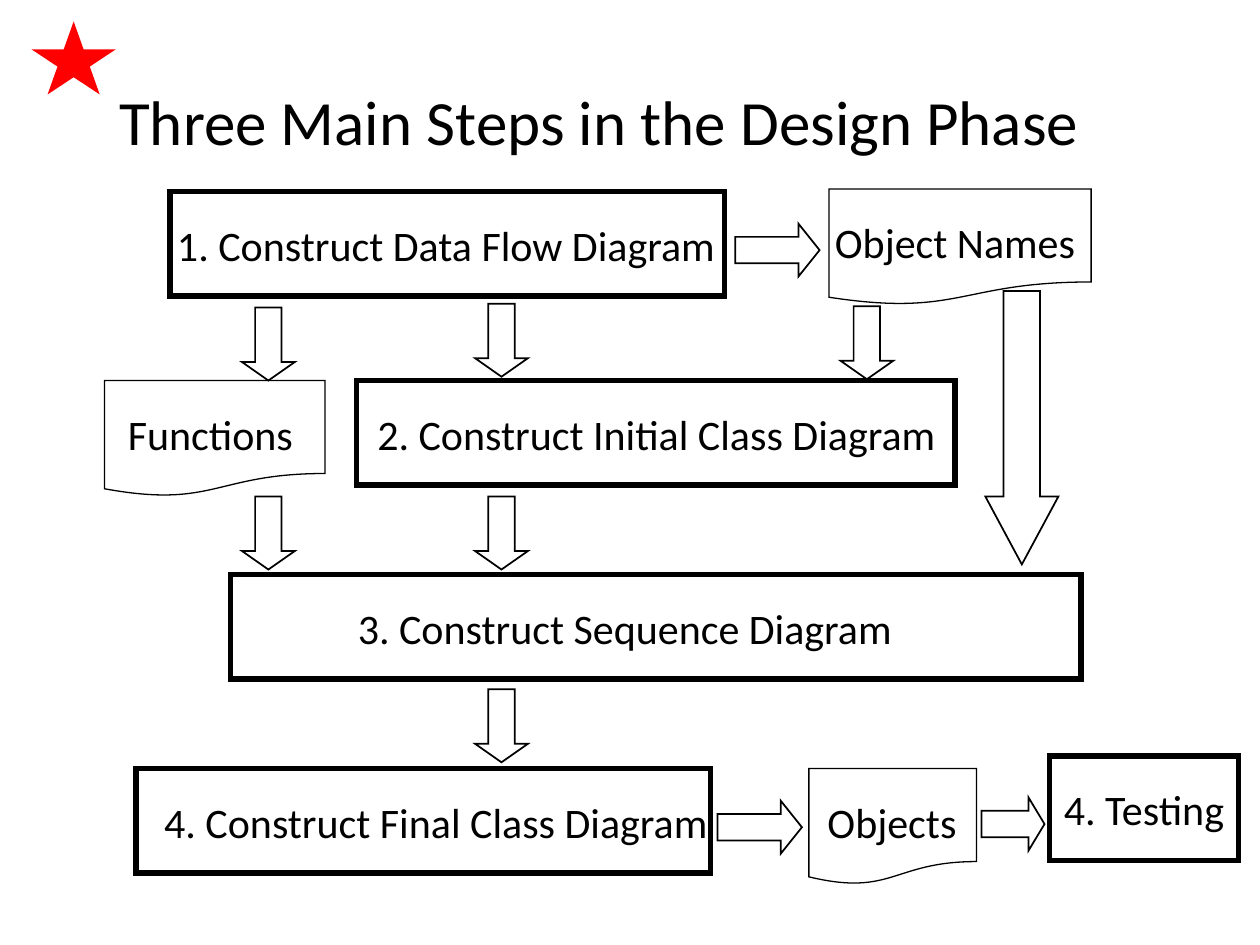
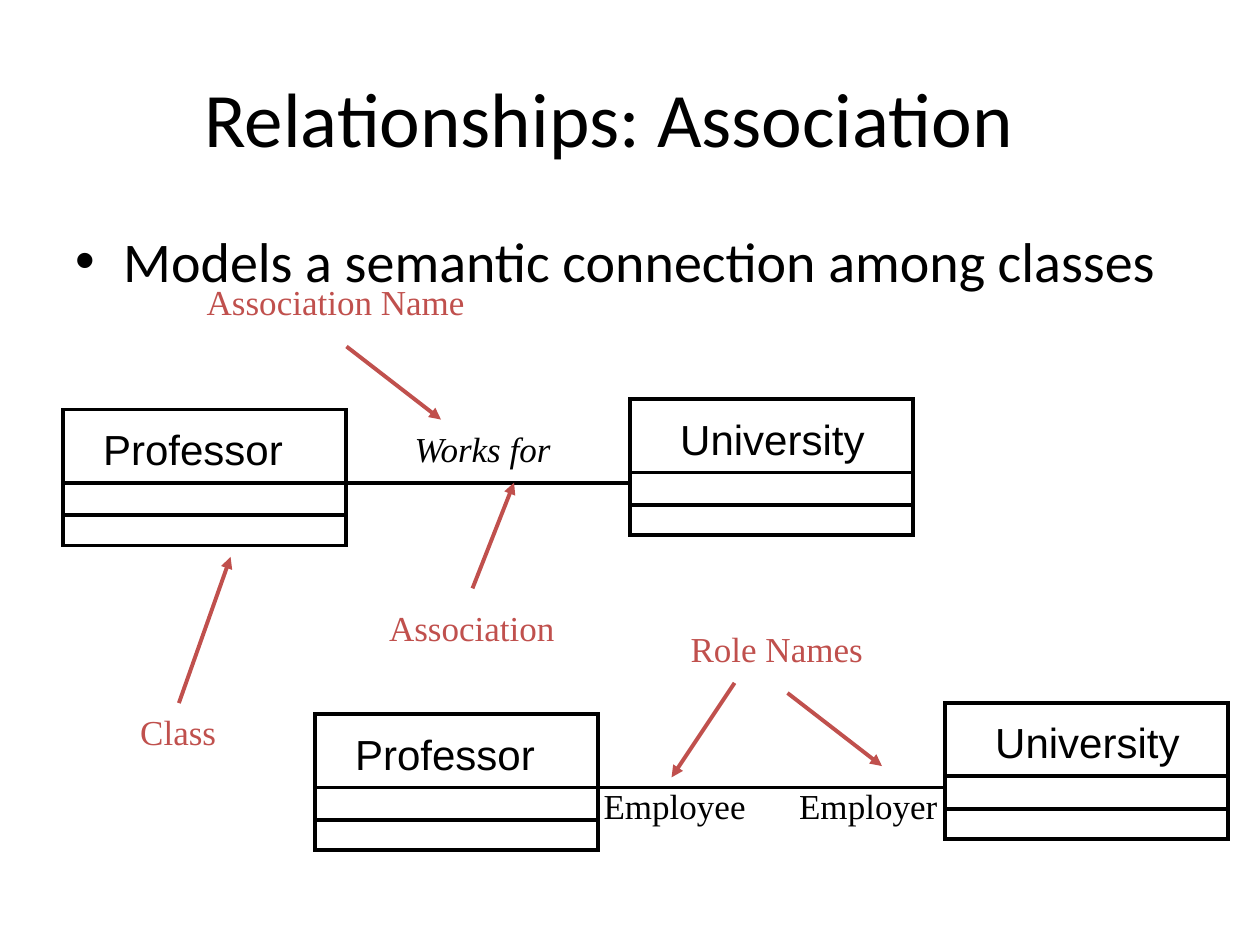
"""Builds two slides on design steps and class association."""
from pptx import Presentation
from pptx.dml.color import RGBColor
from pptx.enum.shapes import MSO_CONNECTOR, MSO_SHAPE, MSO_SHAPE_TYPE
from pptx.enum.text import MSO_ANCHOR, PP_ALIGN
from pptx.oxml.ns import qn
from pptx.util import Inches, Pt
from lxml.etree import SubElement


class Theme:
    black = RGBColor(0, 0, 0)
    red = RGBColor(0xFF, 0, 0)
    brick = RGBColor(0xC0, 0x50, 0x4D)
    sans, plain, serif = "Calibri", "Arial", "Times New Roman"
    head, title, body, step, note = 44, 36, 32, 24, 20
    thick, mid, thin, hair = 3, 2.25, 1, 0.75


def write(slide, text, at, size=Theme.step, font=Theme.sans, color=Theme.black,
          align=PP_ALIGN.CENTER, before=15, pad=0.1, slant=False,
          middle=False, bullet=None):
    frame = slide.shapes.add_textbox(*map(Inches, at)).text_frame
    frame.word_wrap = True
    frame.margin_left = frame.margin_right = Inches(pad)
    frame.margin_top = frame.margin_bottom = Inches(pad / 2)
    frame.vertical_anchor = MSO_ANCHOR.MIDDLE if middle else MSO_ANCHOR.TOP
    para = frame.paragraphs[0]
    para.alignment = align
    para.space_before = Pt(before)
    if bullet:
        props = para._p.get_or_add_pPr()
        props.set("marL", str(Inches(0.38)))
        props.set("indent", str(-Inches(0.38)))
        SubElement(props, qn("a:buFont")).set("typeface", "Arial")
        SubElement(props, qn("a:buChar")).set("char", bullet)
    run = para.add_run()
    run.text = text
    run.font.size = Pt(size)
    run.font.name = font
    run.font.italic = slant
    run.font.color.rgb = color


def draw(slide, start, end, color=Theme.black, arrow=False):
    line = slide.shapes.add_connector(MSO_CONNECTOR.STRAIGHT, *map(Inches, start + end))
    line.line.color.rgb = color
    line.line.width = Pt(Theme.mid)
    if arrow:
        SubElement(line.line._get_or_add_ln(), qn("a:tailEnd")).set("type", "triangle")
    SubElement(line._element.spPr, qn("a:effectLst"))


deck = Presentation()
deck.slide_width, deck.slide_height = Inches(10), Inches(7.5)
blank = deck.slide_layouts[6]

steps = deck.slides.add_slide(blank)
write(steps, "Three Main Steps in the Design Phase", (0.42, 0.33, 8.67, 1.25),
      size=Theme.title, before=0, middle=True)

star = steps.shapes.add_shape(MSO_SHAPE.STAR_5_POINT, *map(Inches, (0.25, 0.17, 0.67, 0.58)))
star.fill.solid()
star.fill.fore_color.rgb = Theme.red
star.line.fill.background()

box, page = MSO_SHAPE.FLOWCHART_PROCESS, MSO_SHAPE.FLOWCHART_DOCUMENT
nodes = [
    ("1. Construct Data Flow Diagram", box, 1.35, 1.52, 4.4, 1.14, 4.8),
    ("2. Construct Initial Class Diagram", box, 2.83, 3.02, 4.75, 2.81, 4.8),
    ("3. Construct Sequence Diagram", box, 1.83, 4.56, 6.75, 2.56, 4.8),
    ("4. Construct Final Class Diagram", box, 1.08, 6.1, 4.56, 1.06, 4.8),
    ("4. Testing", box, 8.33, 6, 1.5, 8.28, 1.6),
    ("Object Names", page, 6.58, 1.5, 2.08, 6.48, 2.2),
    ("Functions", page, 0.83, 3.02, 1.75, 0.82, 1.7),
    ("Objects", page, 6.42, 6.1, 1.33, 6.38, 1.4),
]
for text, kind, left, top, width, inner, span in nodes:
    tall, weight = (0.83, Theme.thick) if kind == box else (0.92, Theme.hair)
    node = steps.shapes.add_shape(kind, *map(Inches, (left, top, width, tall)))
    node.fill.background()
    node.line.color.rgb = Theme.black
    node.line.width = Pt(weight)
    write(steps, text, (inner, top + 0.17, span, 0.5))

arrows = [(left, top, 0.42, 0.58, 0.35, 0) for left, top in (
    (3.77, 2.41), (3.77, 3.94), (3.77, 5.47), (6.67, 2.43), (1.92, 2.44), (1.92, 3.94))]
arrows += [
    (7.82, 2.31, 0.58, 2.17, 0.93, 0),
    (5.96, 1.65, 0.42, 0.67, 0.4, 270),
    (5.82, 6.23, 0.42, 0.67, 0.4, 270),
    (7.83, 6.29, 0.42, 0.5, 0.3, 270),
]
for *at, point, turn in arrows:
    arrow = steps.shapes.add_shape(MSO_SHAPE.DOWN_ARROW, *map(Inches, at))
    arrow.adjustments[0] = 0.5
    arrow.adjustments[1] = point
    arrow.rotation = turn
    arrow.fill.background()
    arrow.line.color.rgb = Theme.black
    arrow.line.width = Pt(Theme.thin)

links = deck.slides.add_slide(blank)
write(links, "Relationships: Association", (0.5, 0.3, 8.67, 1.25),
      size=Theme.head, before=0, middle=True)
write(links, "Models a semantic connection among classes", (0.5, 1.75, 9, 4.95),
      size=Theme.body, before=8, align=PP_ALIGN.LEFT, bullet="•")

for name, left, top, align in (
        ("Professor", 0.5, 3.25, PP_ALIGN.LEFT), ("University", 5, 3.17, PP_ALIGN.CENTER),
        ("Professor", 2.5, 5.67, PP_ALIGN.LEFT), ("University", 7.5, 5.58, PP_ALIGN.CENTER)):
    card = links.shapes.add_shape(MSO_SHAPE.RECTANGLE, *map(Inches, (left, top, 2.25, 1.08)))
    card.fill.background()
    card.line.color.rgb = Theme.black
    card.line.width = Pt(Theme.mid)
    write(links, name, (left + 0.22, top + 0.06, 1.82, 0.5), font=Theme.plain, align=align)
    for drop in (0.58, 0.84):
        draw(links, (left, top + drop), (left + 2.25, top + drop))

draw(links, (2.67, 3.83), (5, 3.83))
draw(links, (4.75, 6.25), (7.5, 6.25))

for text, left, top, align, slant in (
        ("Works for", 3.17, 3.33, PP_ALIGN.LEFT, True),
        ("Employer", 5.83, 6.17, PP_ALIGN.RIGHT, False),
        ("Employee", 4.67, 6.17, PP_ALIGN.LEFT, False)):
    write(links, text, (left, top, 1.73, 0.45), size=Theme.note, font=Theme.serif,
          align=align, slant=slant, before=12.5, pad=0.12)

for text, left, top in (("Class", 0.25, 5.58), ("Association", 2.58, 4.75),
                        ("Association Name", 1.5, 2.17), ("Role Names", 5, 4.92)):
    write(links, text, (left, top, 2.33, 0.45), size=Theme.note, font=Theme.serif,
          color=Theme.brick, before=12.5, pad=0.12)

for start, end in (((1.42, 5.58), (1.83, 4.42)), ((3.75, 4.67), (4.08, 3.83)),
                   ((2.75, 2.75), (3.5, 3.33)), ((6.25, 5.5), (7, 6.08)),
                   ((5.83, 5.42), (5.33, 6.17))):
    draw(links, start, end, color=Theme.brick, arrow=True)

for slide in deck.slides:
    for shape in slide.shapes:
        if shape.shape_type == MSO_SHAPE_TYPE.AUTO_SHAPE:
            shape.shadow.inherit = False
            SubElement(shape.line._get_or_add_ln(), qn("a:miter")).set("lim", "800000")

deck.save("out.pptx")
